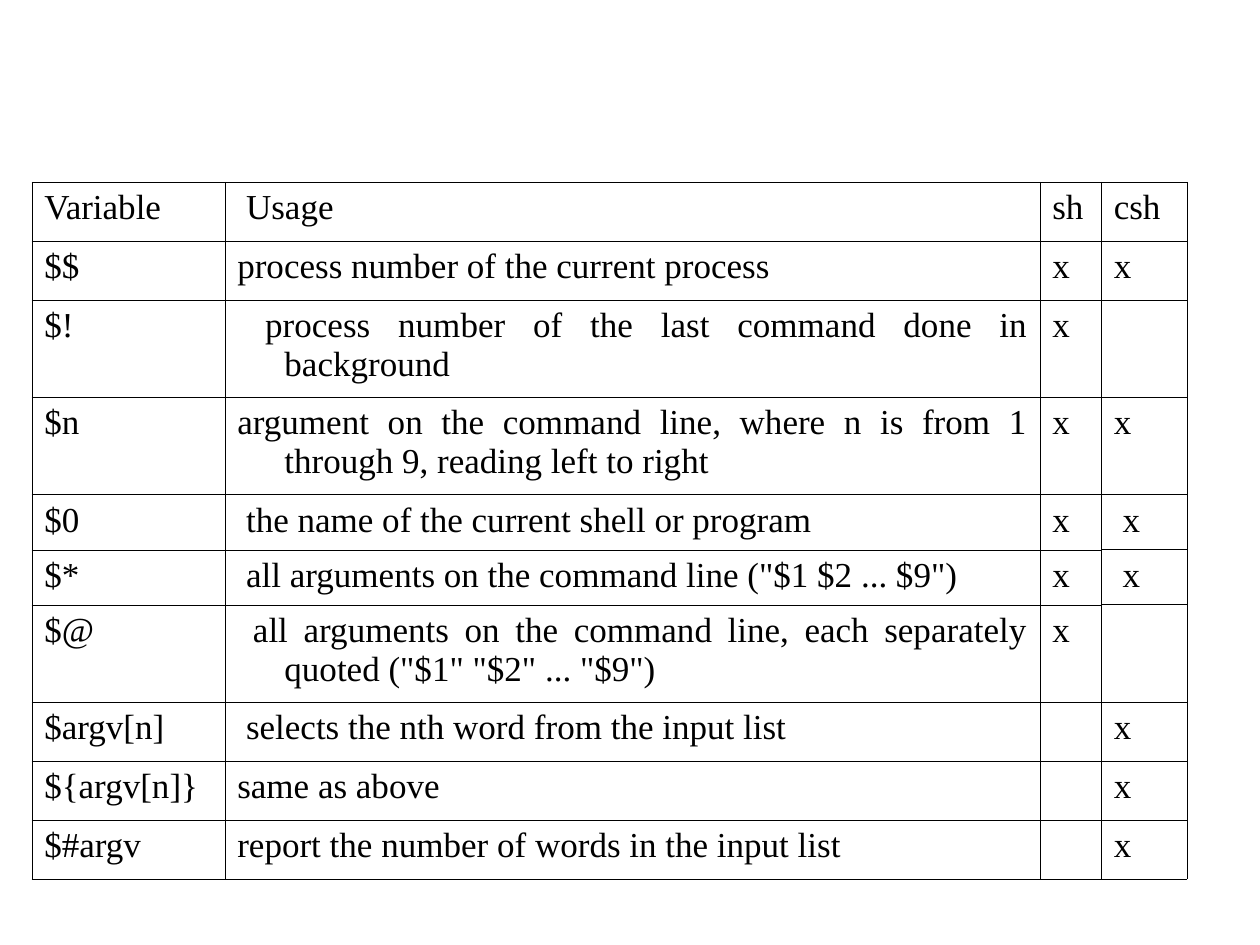
from lxml.etree import SubElement as Sub
from pptx import Presentation as Deck
from pptx.dml.color import RGBColor as Rgb
from pptx.enum.text import PP_ALIGN as Align
from pptx.oxml.ns import qn
from pptx.util import Cm, Pt

INK = Rgb(0x00, 0x00, 0x00)
FONT = "Times New Roman"
THIN, THICK = Pt(0.06), Pt(0.45)
COLS = (3.89, 16.43, 1.24, 1.73)
SHORT, LOW, TALL = 1.19, 1.11, 1.96
ROWS = (
    (SHORT, "Variable", " Usage", "sh", "csh"),
    (SHORT, "$$", "process number of the current process", "x", "x"),
    (TALL, "$!", " process number of the last command done in background", "x", ""),
    (TALL, "$n", "argument on the command line, where n is from 1 through 9, "
     "reading left to right", "x", "x"),
    (LOW, "$0", " the name of the current shell or program", "x", " x"),
    (LOW, "$*", ' all arguments on the command line ("$1 $2 ... $9")', "x", " x"),
    (TALL, "$@", ' all arguments on the command line, each separately quoted '
     '("$1" "$2" ... "$9")', "x", ""),
    (SHORT, "$argv[n]", " selects the nth word from the input list", "", "x"),
    (SHORT, "${argv[n]}", "same as above", "", "x"),
    (SHORT, "$#argv", "report the number of words in the input list", "", "x"),
)


def edge(cell, side, width):
    """Draw one border of a cell."""
    props = cell._tc.get_or_add_tcPr()
    line = Sub(props, qn(f"a:ln{side}"), w=str(int(width)))
    fill = Sub(line, qn("a:solidFill"))
    Sub(fill, qn("a:srgbClr"), val=str(INK))


def frame(cell, top, base):
    """Draw the four borders of a cell and leave it unfilled."""
    for side, width in (("L", THIN), ("R", THIN), ("T", top), ("B", base)):
        edge(cell, side, width)
    cell.fill.background()


def style(font):
    """Set the face, size and colour of a font."""
    font.name = FONT
    font.size = Pt(20)
    font.color.rgb = INK


def write(cell, text):
    """Fill a cell with one justified paragraph on a hanging indent."""
    para = cell.text_frame.paragraphs[0]
    para.alignment = Align.JUSTIFY
    props = para._p.get_or_add_pPr()
    props.set("marL", str(Cm(0.95)))
    props.set("indent", str(-Cm(0.95)))
    tabs = Sub(props, qn("a:tabLst"))
    for inch in range(8):
        Sub(tabs, qn("a:tab"), pos=str(Cm(2.54 * inch)), algn="l")
    if text:
        run = para.add_run()
        run.text = text
        style(run.font)
    else:
        style(para.font)


def grid(slide):
    """Add the table of shell variables."""
    high = sum(row[0] for row in ROWS)
    table = slide.shapes.add_table(
        len(ROWS), len(COLS), Cm(0.64), Cm(3.67), Cm(sum(COLS)), Cm(high)).table
    table.first_row = table.horz_banding = False
    for col, wide in zip(table.columns, COLS):
        col.width = Cm(wide)
    last_row, last_col = len(ROWS) - 1, len(COLS) - 1
    for r, (tall, *texts) in enumerate(ROWS):
        table.rows[r].height = Cm(tall)
        for c, text in enumerate(texts):
            cell = table.cell(r, c)
            inner = THICK if c == last_col else THIN
            frame(cell, inner if r else THIN, inner if r < last_row else THIN)
            write(cell, text)


def main():
    """Build and save the slide."""
    deck = Deck()
    deck.slide_width, deck.slide_height = Cm(25.4), Cm(19.05)
    grid(deck.slides.add_slide(deck.slide_layouts[6]))
    deck.save("out.pptx")


if __name__ == "__main__":
    main()
